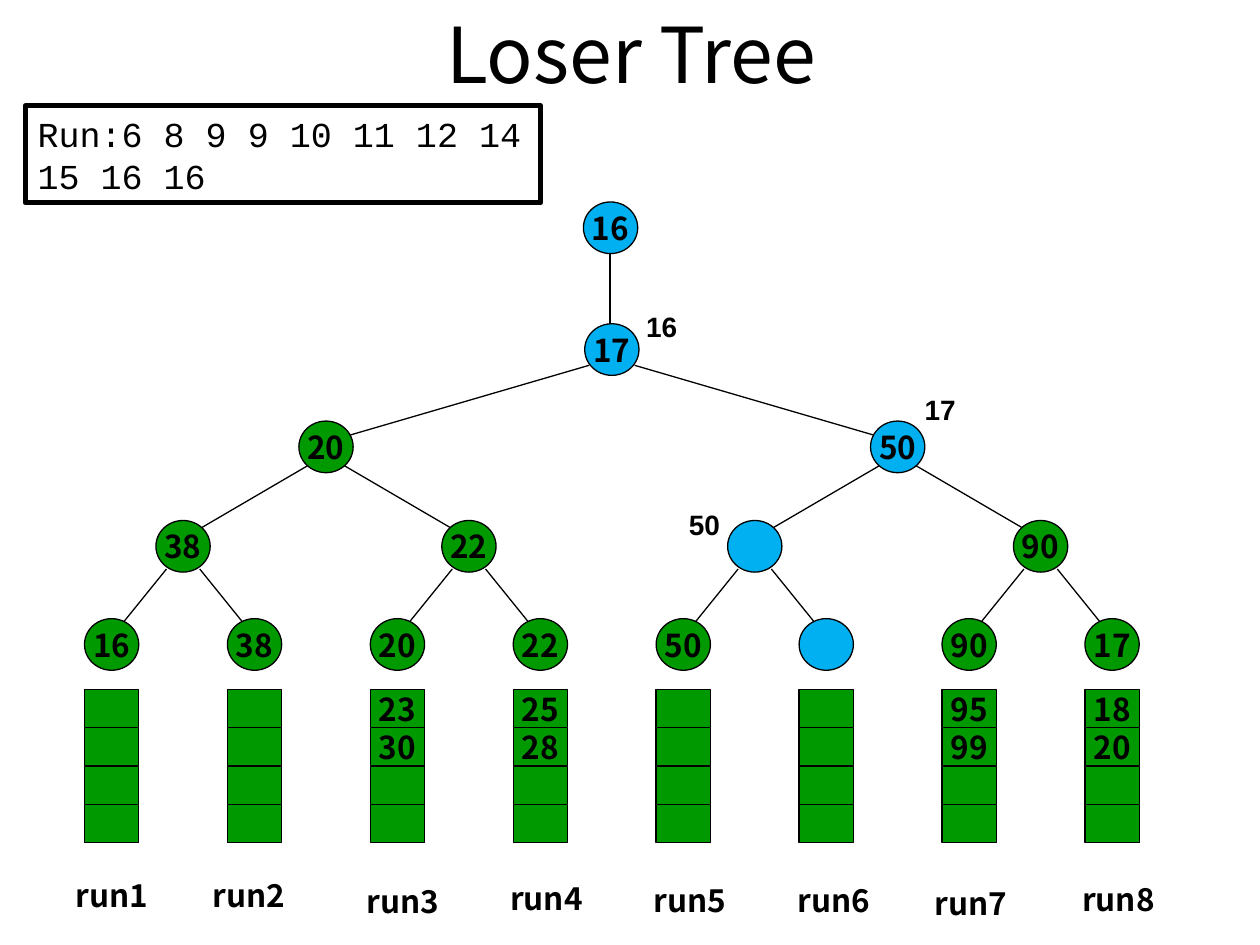
from dataclasses import dataclass
from pptx import Presentation
from pptx.dml.color import RGBColor
from pptx.enum.shapes import MSO_CONNECTOR, MSO_SHAPE
from pptx.enum.text import MSO_ANCHOR as Anchor, PP_ALIGN as Align
from pptx.oxml.ns import qn
from pptx.util import Pt
from lxml import etree


@dataclass(frozen=True)
class Theme:
    black = RGBColor.from_string("000000")
    green = RGBColor.from_string("009900")
    blue = RGBColor.from_string("00B0F0")
    sans: str = "Noto Sans CJK KR"
    arial: str = "Arial"
    mono: str = "Courier New"
    title_size: int = 44
    output_size: int = 20
    node_size: int = 18
    note_size: int = 16
    thin: float = 0.75
    thick: float = 3


theme = Theme()


def write(shape, text, size, font, bold=True, align=Align.LEFT, anchor=Anchor.TOP, wrap=True):
    frame = shape.text_frame
    frame.word_wrap, frame.vertical_anchor = wrap, anchor
    paragraph = frame.paragraphs[0]
    paragraph.text, paragraph.alignment = text, align
    paragraph.font.color.rgb = theme.black
    for name, value in {"size": Pt(size), "name": font, "bold": bold}.items():
        setattr(paragraph.font, name, value)


def add_cell(kind, left, top, width, height, text="", fill=None, line=theme.thin):
    shape = slide.shapes.add_shape(kind, Pt(left), Pt(top), Pt(width), Pt(height))
    shape.shadow.inherit = False
    if fill is None:
        shape.fill.background()
    else:
        shape.fill.solid()
        shape.fill.fore_color.rgb = fill
    shape.line.color.rgb, shape.line.width = theme.black, Pt(line)
    if text:
        write(shape, text, theme.node_size, theme.sans, align=Align.CENTER,
              anchor=Anchor.MIDDLE, wrap=False)
    return shape


presentation = Presentation()
presentation.slide_width, presentation.slide_height = Pt(720), Pt(540)
slide = presentation.slides.add_slide(presentation.slide_layouts[5])

# Title
title = slide.shapes.title
title.left, title.top, title.width, title.height = Pt(36.7), Pt(0), Pt(648), Pt(60.5)
write(title, "Loser Tree", theme.title_size, theme.sans, bold=False,
      align=Align.CENTER, anchor=Anchor.MIDDLE)

# Tree layout: each parent sits midway between its two children
NODE_WIDTH, NODE_HEIGHT = 31, 29.5
ROW_HEIGHT = 21.85
WINNER_LEFT, WINNER_TOP = 333.4, 115.4
leaf_lefts = [48.3 + 81.67 * index for index in range(8)]
lefts = [leaf_lefts]
while len(lefts[0]) > 1:
    below = lefts[0]
    lefts.insert(0, [(a + b) / 2 for a, b in zip(below[::2], below[1::2])])
tops = [185, 240.6, 297.4, 353.5]
values = [["17"], ["20", "50"], ["38", "22", "", "90"],
          ["16", "38", "20", "22", "50", "", "90", "17"]]
replayed = [0, 1, 2, 5]  # position on each level of the node just replayed

# Edges: distances from the node centres to the line ends, for each level
edge_ends = [(13, 9, 13, 6.5), (10, 10.5, 9.5, 10), (9.5, 13, 7, 13)]
edges = [(348.5, 143.3, 348.5, 184.5)]
for level, (start_x, start_y, end_x, end_y) in enumerate(edge_ends):
    for index, child_left in enumerate(lefts[level + 1]):
        side = 1 if index % 2 else -1
        parent_x = lefts[level][index // 2] + NODE_WIDTH / 2
        child_x = child_left + NODE_WIDTH / 2
        edges.append((parent_x + side * start_x, tops[level] + NODE_HEIGHT / 2 + start_y,
                      child_x - side * end_x, tops[level + 1] + NODE_HEIGHT / 2 - end_y))
for edge in edges:
    connector = slide.shapes.add_connector(MSO_CONNECTOR.STRAIGHT, *map(Pt, edge))
    connector.line.color.rgb, connector.line.width = theme.black, Pt(theme.thin)
    etree.SubElement(connector._element.spPr, qn("a:effectLst"))

# Nodes, with the overall winner above the tree
add_cell(MSO_SHAPE.OVAL, WINNER_LEFT, WINNER_TOP, NODE_WIDTH, NODE_HEIGHT, "16", theme.blue)
for row_lefts, top, row_values, hit in zip(lefts, tops, values, replayed):
    for index, (left, value) in enumerate(zip(row_lefts, row_values)):
        add_cell(MSO_SHAPE.OVAL, left, top, NODE_WIDTH, NODE_HEIGHT, value,
                 theme.blue if index == hit else theme.green)

# Remaining records of each run
records = {2: ["23", "30"], 3: ["25", "28"], 6: ["95", "99"], 7: ["18", "20"]}
for run, left in enumerate(leaf_lefts):
    queue = records.get(run, [])
    for row in range(4):
        add_cell(MSO_SHAPE.RECTANGLE, left, 394 + ROW_HEIGHT * row, NODE_WIDTH, ROW_HEIGHT,
                 queue[row] if row < len(queue) else "", theme.green)

# Run names and the winners passed up the tree
run_places = [(36, 496.8), (114.5, 496.8), (202.5, 500.4), (284.4, 499),
              (366.5, 499.7), (448.6, 499.7), (527, 501.8), (611.3, 499.3)]
labels = [(f"run{number}", left, top, 56.2, 28.8, theme.node_size, theme.sans)
          for number, (left, top) in enumerate(run_places, 1)]
labels += [(text, left, top, 33.8, 26.6, theme.note_size, theme.arial)
           for text, left, top in [("50", 386.6, 286.6), ("17", 521.3, 221), ("16", 362.2, 173.5)]]
for text, left, top, width, height, size, font in labels:
    box = slide.shapes.add_textbox(Pt(left), Pt(top), Pt(width), Pt(height))
    write(box, text, size, font)

# Merged output so far
output = add_cell(MSO_SHAPE.RECTANGLE, 14.4, 60.5, 294.5, 55.4, line=theme.thick)
write(output, "Run:6 8 9 9 10 11 12 14 15 16 16", theme.output_size, theme.mono, bold=False)

presentation.save("out.pptx")
